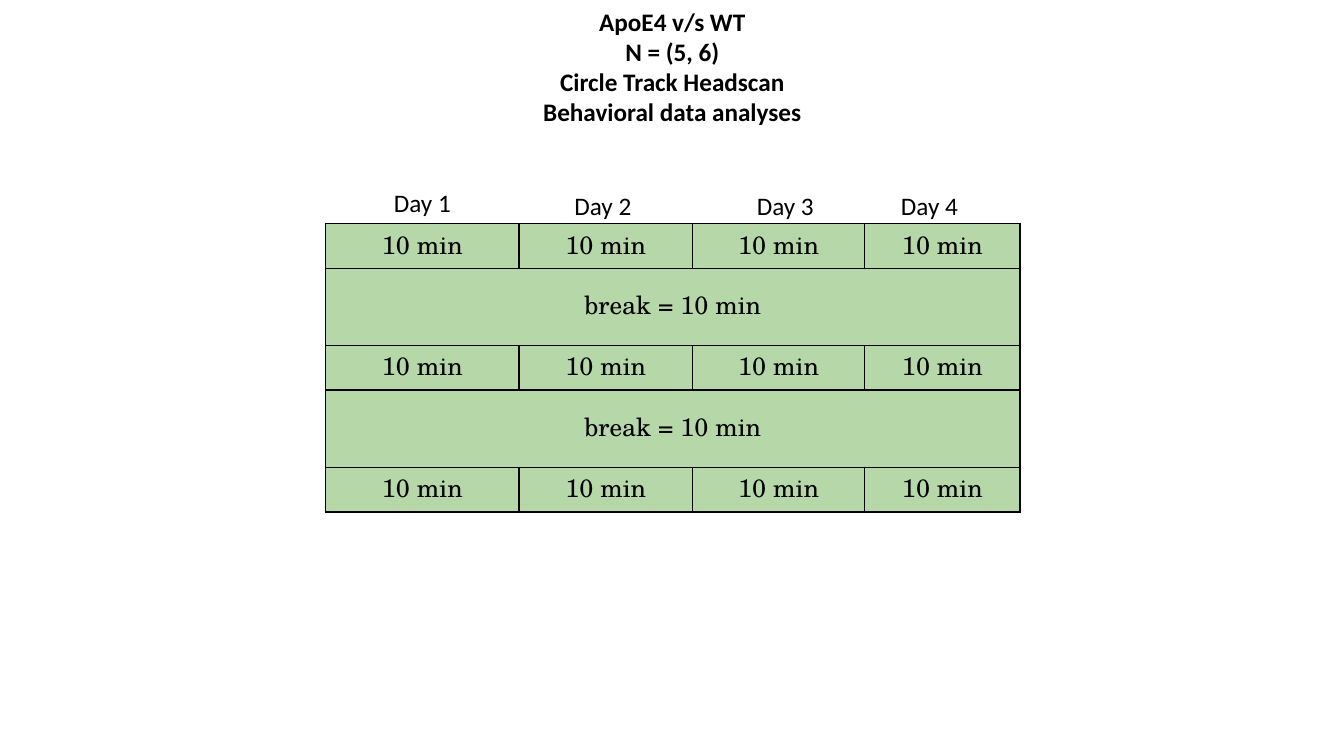
from lxml import etree
from pptx import Presentation
from pptx.dml.color import RGBColor
from pptx.enum.text import MSO_ANCHOR, MSO_AUTO_SIZE, PP_ALIGN
from pptx.oxml.ns import qn
from pptx.util import Pt

LEFT, CENTER = PP_ALIGN.LEFT, PP_ALIGN.CENTER
MIDDLE = MSO_ANCHOR.MIDDLE
GROW = MSO_AUTO_SIZE.SHAPE_TO_FIT_TEXT
COLORS = {"ink": "000000", "session": "B6D7A8"}


def assign(target, values):
    for name, value in values.items():
        setattr(target, name, value)


class SlideBuilder:
    label_font = "Calibri"
    table_font = "TeX Gyre Schola"
    text_size = Pt(18)
    border_width = Pt(1)
    cell_format = {
        "vertical_anchor": MIDDLE,
        "margin_left": Pt(0.72),
        "margin_right": Pt(0.72),
        "margin_top": Pt(0.72),
        "margin_bottom": Pt(3.6),
    }

    def __init__(self, deck):
        self.page = deck.slides.add_slide(deck.slide_layouts[6])

    def fill_text(self, frame, lines, font, align, bold=False):
        for index, line in enumerate(lines):
            para = frame.add_paragraph() if index else frame.paragraphs[0]
            para.alignment = align
            span = para.add_run()
            span.text = line
            assign(span.font, {"name": font, "size": self.text_size, "bold": bold})
            span.font.color.rgb = RGBColor.from_string(COLORS["ink"])

    def text(self, lines, left, top, width, height, align=LEFT, bold=False):
        box = self.page.shapes.add_textbox(Pt(left), Pt(top), Pt(width), Pt(height))
        assign(box.text_frame, {"word_wrap": False, "auto_size": GROW})
        self.fill_text(box.text_frame, lines, self.label_font, align, bold)

    def border(self, cell):
        properties = cell._tc.get_or_add_tcPr()
        for side in ("a:lnL", "a:lnR", "a:lnT", "a:lnB"):
            line = etree.SubElement(properties, qn(side), w=str(self.border_width))
            fill = etree.SubElement(line, qn("a:solidFill"))
            etree.SubElement(fill, qn("a:srgbClr"), val=COLORS["ink"])

    def table(self, rows, left, top, widths, heights):
        frame = self.page.shapes.add_table(
            len(rows), len(widths), Pt(left), Pt(top), Pt(sum(widths)), Pt(sum(heights))
        )
        table = frame.table
        assign(table, {"first_row": False, "horz_banding": False})
        for column, width in zip(table.columns, widths):
            column.width = Pt(width)
        for index, (texts, height) in enumerate(zip(rows, heights)):
            table.rows[index].height = Pt(height)
            cells = list(table.rows[index].cells)
            for cell in cells:
                assign(cell, self.cell_format)
                self.border(cell)
                cell.fill.solid()
                cell.fill.fore_color.rgb = RGBColor.from_string(COLORS["session"])
            if len(texts) == 1:
                cells[0].merge(cells[-1])
            for cell, text in zip(cells, texts):
                self.fill_text(cell.text_frame, [text], self.table_font, CENTER)


deck = Presentation()
assign(deck, {"slide_width": Pt(960), "slide_height": Pt(540)})
builder = SlideBuilder(deck)

title = ["ApoE4 v/s WT", "N = (5, 6)", "Circle Track Headscan", "Behavioral data analyses"]
builder.text(title, 380.16, 0.72, 200.16, 94.32, CENTER, True)

session_row = ["10 min"] * 4
break_row = ["break = 10 min"]
schedule = [session_row, break_row, session_row, break_row, session_row]
row_heights = [55.4 if row is break_row else 31.7 for row in schedule]
builder.table(schedule, 232.56, 159.84, [138.24, 123.84, 123.12, 110.88], row_heights)

day_positions = [(274.3, 130.3), (403.2, 132.5), (533.5, 132.5), (636.5, 132.5)]
for day, (left, top) in enumerate(day_positions, 1):
    builder.text([f"Day {day}"], left, top, 55.44, 28.8)

deck.save("out.pptx")
